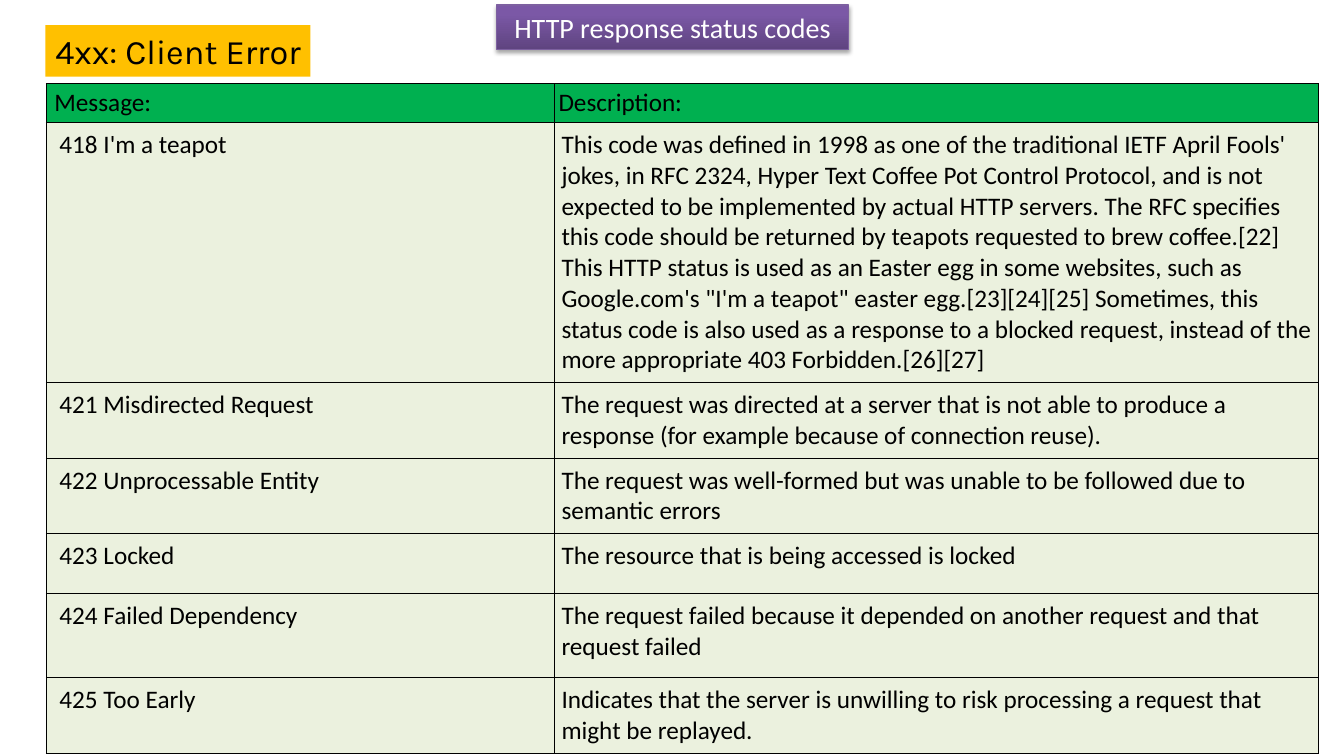
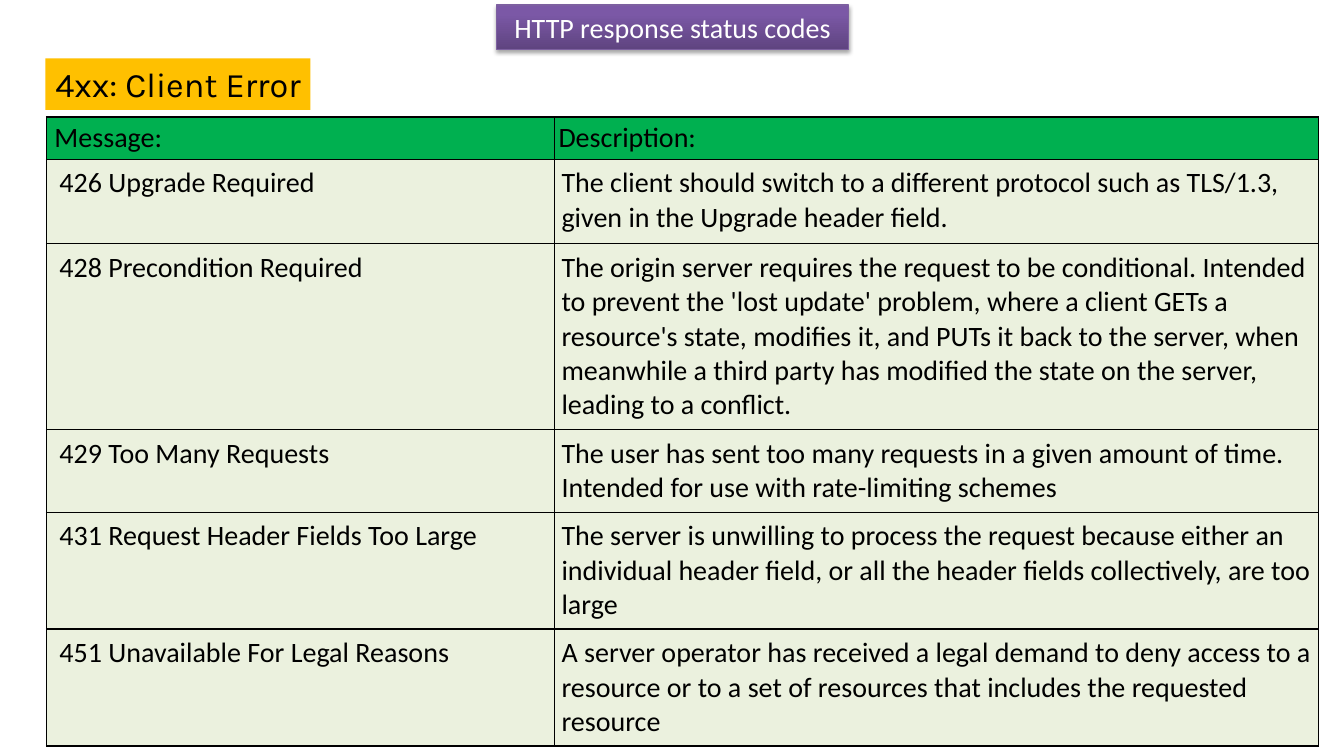
import pptx
import pptx.dml.color
import pptx.enum.shapes
import pptx.enum.text
import pptx.oxml
import pptx.oxml.ns
import pptx.util

Inches = pptx.util.Inches
Pt = pptx.util.Pt
NS = pptx.oxml.ns.nsdecls("a")


def rgb(value):
    return pptx.dml.color.RGBColor.from_string(value)


class Deck:
    """Hold the shared style and the current slide."""

    INK, WHITE = "000000", "FFFFFF"
    PURPLE, DEEP_PURPLE, PURPLE_LINE = "7B58A6", "5F4480", "7D60A0"
    AMBER, GREEN, PALE_GREEN = "FFC000", "00B050", "EBF1DE"
    BODY_FONT, LABEL_FONT = "Calibri", "Karla"
    COLUMNS = (5.04, 7.58)
    HEADER = ("Message:", "Description:")
    HEADER_INSETS, BODY_INSETS = (0.08, 0.04), (0.13, 0.07)

    def __init__(self):
        self.prs = pptx.Presentation()
        self.prs.slide_width = Inches(13.33)
        self.prs.slide_height = Inches(7.5)

    def add_slide(self):
        self.slide = self.prs.slides.add_slide(self.prs.slide_layouts[6])

    def set_text(self, tf, text, size, font, color):
        tf.word_wrap = True
        p = tf.paragraphs[0]
        p.text = text
        p.font.size = Pt(size)
        p.font.name = font
        p.font.bold = False
        p.font.color.rgb = rgb(color)
        return p

    def box(self, left, top, width, height):
        sp = self.slide.shapes.add_shape(
            pptx.enum.shapes.MSO_SHAPE.RECTANGLE,
            Inches(left), Inches(top), Inches(width), Inches(height))
        sp.shadow.inherit = False
        return sp

    def title(self, text):
        sp = self.box(4.92, 0.05, 3.5, 0.44)
        sp.fill.gradient()
        sp.fill.gradient_angle = 90
        stops = zip(sp.fill.gradient_stops, (self.DEEP_PURPLE, self.PURPLE), (0, 0.8))
        for stop, color, position in stops:
            stop.color.rgb = rgb(color)
            stop.position = position
        sp.line.color.rgb = rgb(self.PURPLE_LINE)
        sp.line.width = Pt(0.75)
        effects = sp._element.spPr.find(pptx.oxml.ns.qn("a:effectLst"))
        effects.append(pptx.oxml.parse_xml(
            f'<a:outerShdw {NS} blurRad="{Pt(3.1)}" dist="{Pt(1.8)}" dir="5400000" '
            f'rotWithShape="0"><a:srgbClr val="{self.INK}"><a:alpha val="35000"/>'
            '</a:srgbClr></a:outerShdw>'))
        p = self.set_text(sp.text_frame, text, 20, self.BODY_FONT, self.WHITE)
        p.alignment = pptx.enum.text.PP_ALIGN.CENTER

    def label(self, text, top):
        sp = self.box(0.45, top, 2.63, 0.51)
        sp.fill.solid()
        sp.fill.fore_color.rgb = rgb(self.AMBER)
        sp.line.fill.background()
        tf = sp.text_frame
        tf.margin_right = 0
        p = self.set_text(tf, text, 24.5, self.LABEL_FONT, self.INK)
        p.alignment = pptx.enum.text.PP_ALIGN.LEFT

    def cell(self, cell, text, size, fill, insets):
        left, other = insets
        cell.margin_left = Inches(left)
        cell.margin_right = cell.margin_top = cell.margin_bottom = Inches(other)
        self.set_text(cell.text_frame, text, size, self.BODY_FONT, self.INK)
        tcPr = cell._tc.get_or_add_tcPr()
        for side in ("lnL", "lnR", "lnT", "lnB"):
            tcPr.append(pptx.oxml.parse_xml(
                f'<a:{side} {NS} w="{Pt(1)}"><a:solidFill>'
                f'<a:srgbClr val="{self.INK}"/></a:solidFill></a:{side}>'))
        cell.fill.solid()
        cell.fill.fore_color.rgb = rgb(fill)

    def table(self, top, size, heights, codes):
        rows = [self.HEADER, *codes]
        table = self.slide.shapes.add_table(
            len(rows), len(self.COLUMNS), Inches(0.46), Inches(top),
            Inches(sum(self.COLUMNS)), Inches(sum(heights))).table
        table.first_row = table.horz_banding = False
        for column, width in zip(table.columns, self.COLUMNS):
            column.width = Inches(width)
        for i, (row, height, texts) in enumerate(zip(table.rows, heights, rows)):
            row.height = Inches(height)
            fill = self.PALE_GREEN if i else self.GREEN
            left, other = self.BODY_INSETS if i else self.HEADER_INSETS
            for cell, text, inset in zip(row.cells, texts, (left, other)):
                self.cell(cell, text, size, fill, (inset, other))

    def status_slide(self, label_top, size, heights, codes):
        self.add_slide()
        self.title("HTTP response status codes")
        self.label("4xx: Client Error", label_top)
        self.table(label_top + 0.58, size, heights, codes)


def main():
    deck = Deck()
    deck.status_slide(0.25, 18, (0.38, 2.53, 0.73, 0.73, 0.59, 0.84, 0.73), [
        ("418 I'm a teapot",
         "This code was defined in 1998 as one of the traditional IETF April Fools' "
         "jokes, in RFC 2324, Hyper Text Coffee Pot Control Protocol, and is not "
         "expected to be implemented by actual HTTP servers. The RFC specifies this "
         "code should be returned by teapots requested to brew coffee.[22] This HTTP "
         "status is used as an Easter egg in some websites, such as Google.com's "
         "\"I'm a teapot\" easter egg.[23][24][25] Sometimes, this status code is also "
         "used as a response to a blocked request, instead of the more appropriate "
         "403 Forbidden.[26][27]"),
        ("421 Misdirected Request",
         "The request was directed at a server that is not able to produce a response "
         "(for example because of connection reuse)."),
        ("422 Unprocessable Entity",
         "The request was well-formed but was unable to be followed due to semantic "
         "errors"),
        ("423 Locked", "The resource that is being accessed is locked"),
        ("424 Failed Dependency",
         "The request failed because it depended on another request and that request "
         "failed"),
        ("425 Too Early",
         "Indicates that the server is unwilling to risk processing a request that "
         "might be replayed."),
    ])
    deck.status_slide(0.58, 20, (0.42, 0.84, 1.8, 0.8, 1.14, 1.14), [
        ("426 Upgrade Required",
         "The client should switch to a different protocol such as TLS/1.3, given in "
         "the Upgrade header field."),
        ("428 Precondition Required",
         "The origin server requires the request to be conditional. Intended to "
         "prevent the 'lost update' problem, where a client GETs a resource's state, "
         "modifies it, and PUTs it back to the server, when meanwhile a third party "
         "has modified the state on the server, leading to a conflict."),
        ("429 Too Many Requests",
         "The user has sent too many requests in a given amount of time. Intended for "
         "use with rate-limiting schemes"),
        ("431 Request Header Fields Too Large",
         "The server is unwilling to process the request because either an individual "
         "header field, or all the header fields collectively, are too large"),
        ("451 Unavailable For Legal Reasons",
         "A server operator has received a legal demand to deny access to a resource "
         "or to a set of resources that includes the requested resource"),
    ])
    deck.prs.save("out.pptx")


if __name__ == "__main__":
    main()
